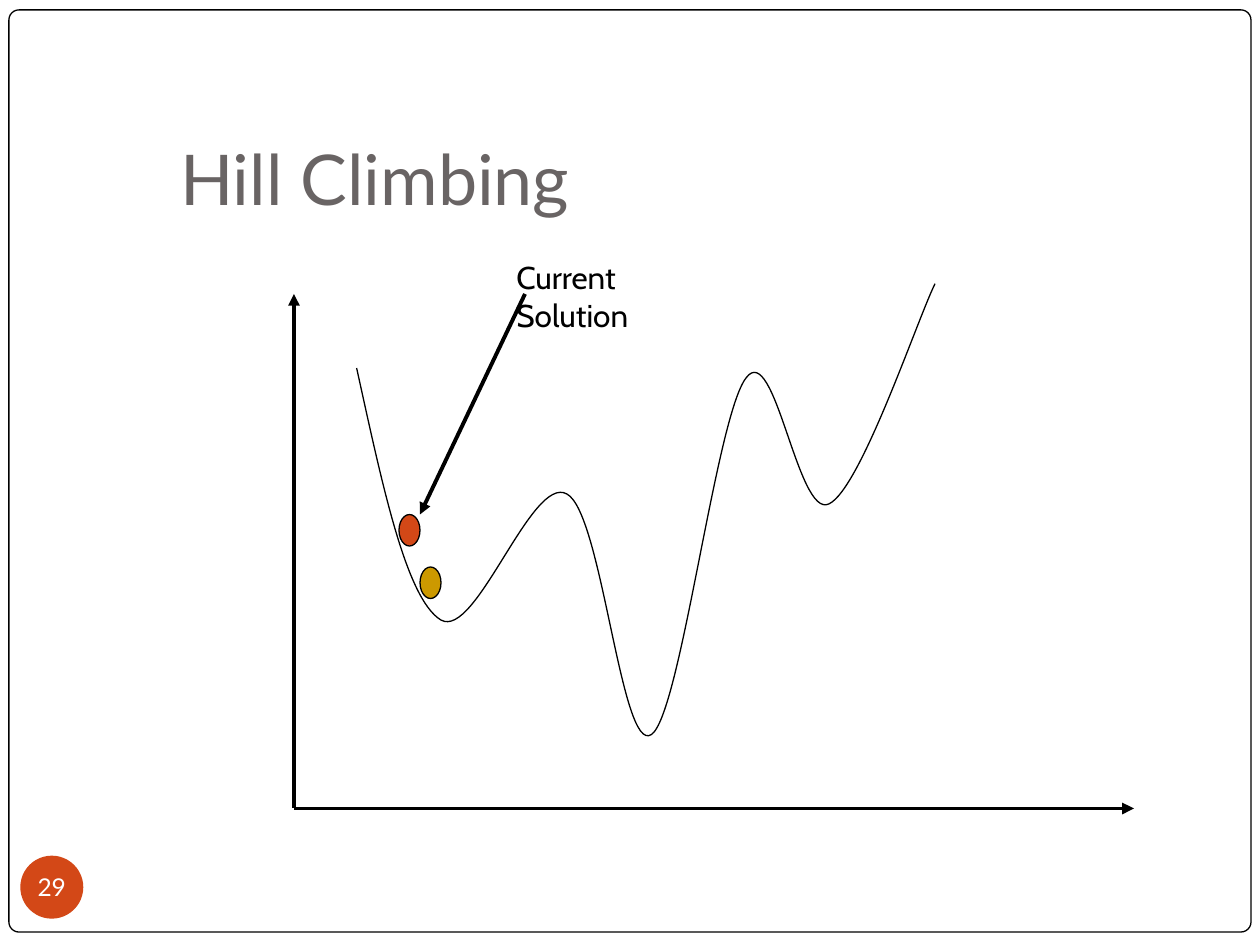
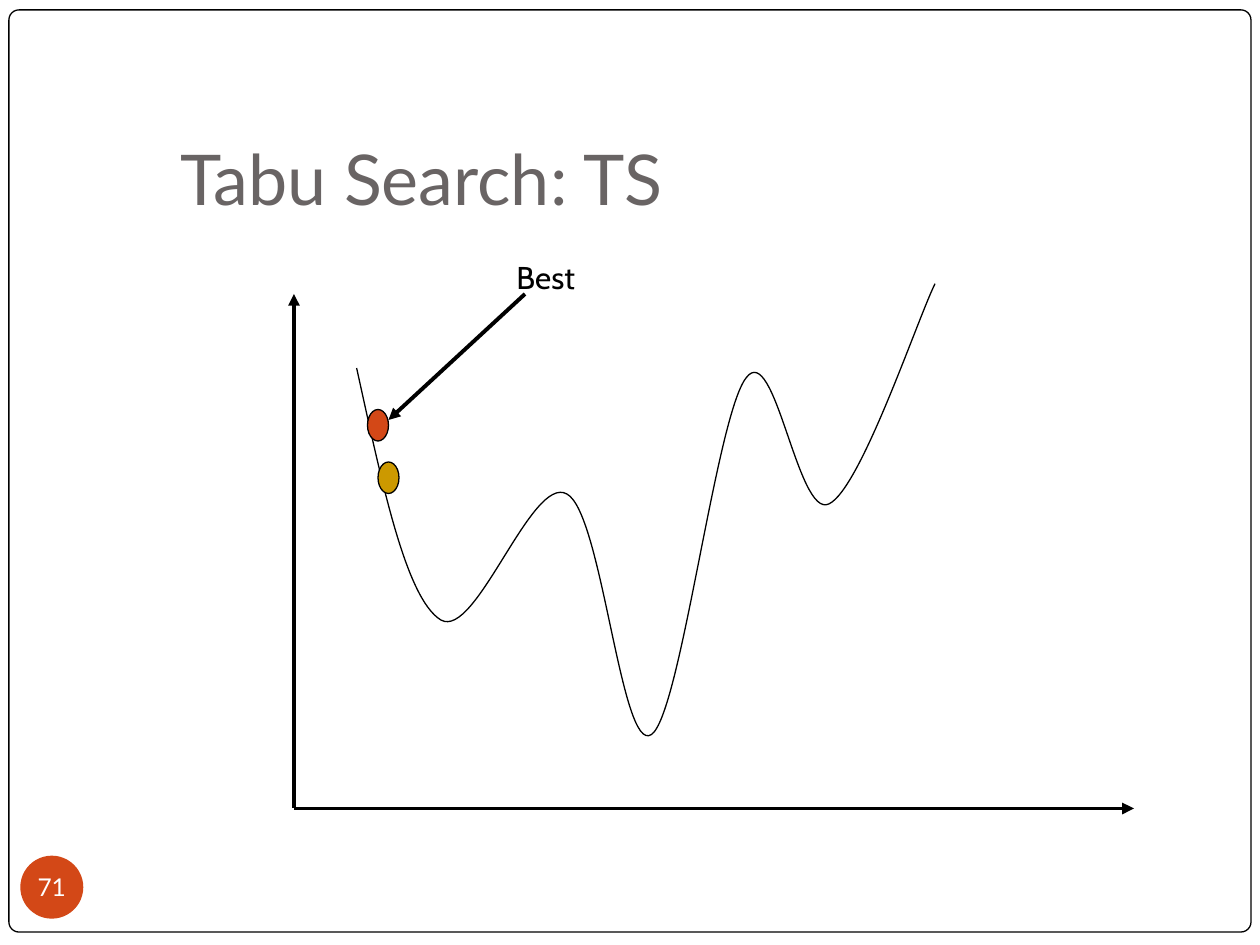
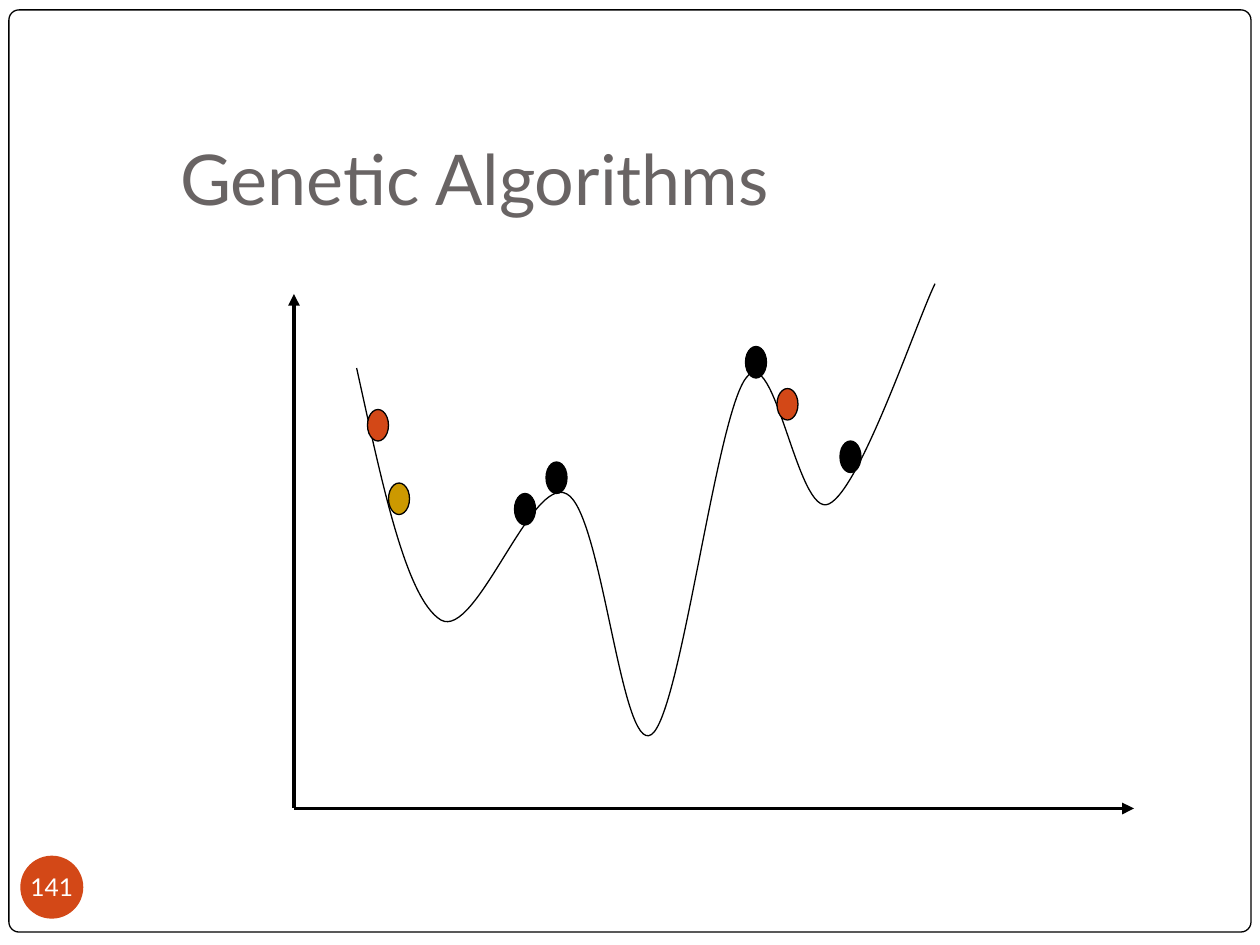
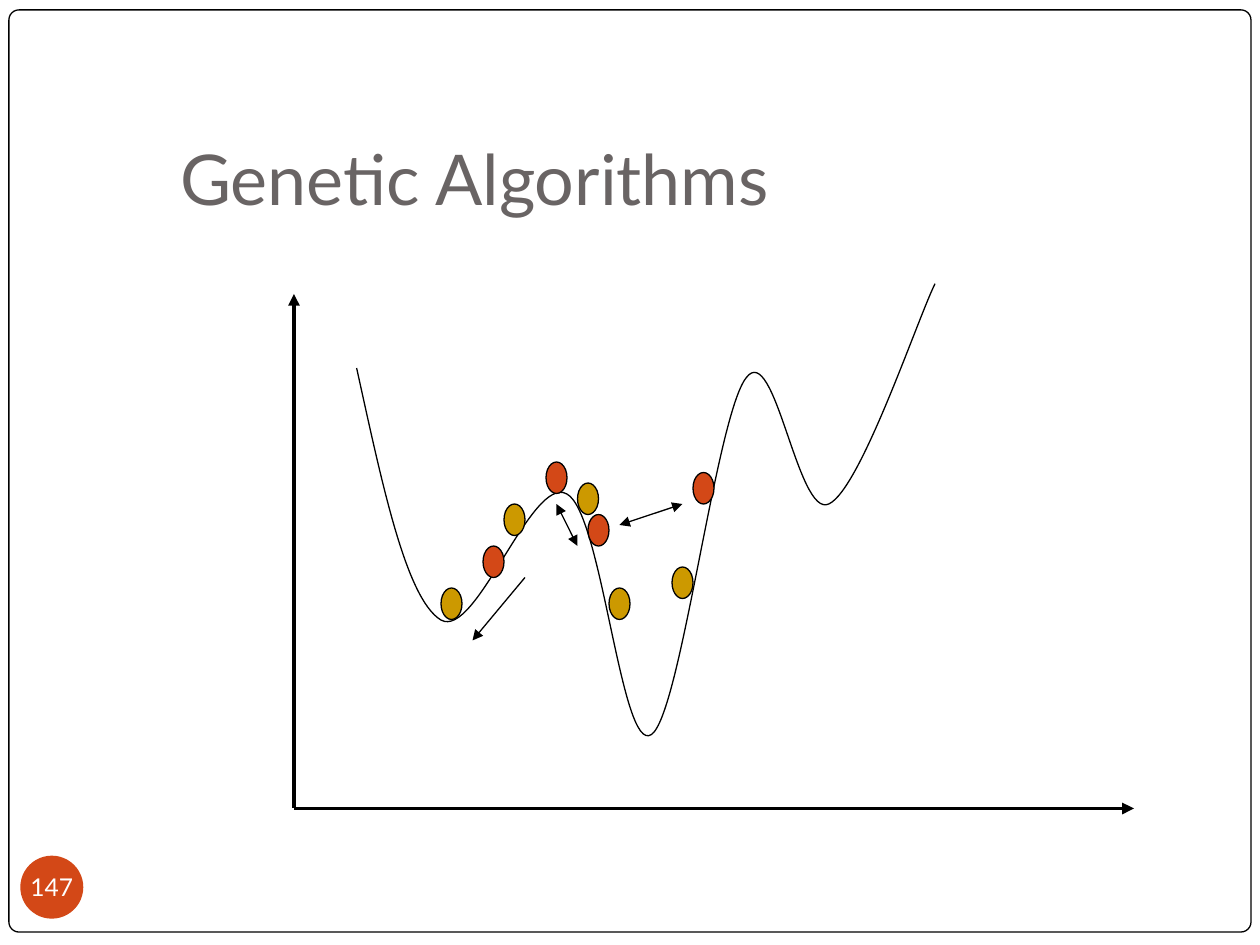
from lxml import etree
from pptx import Presentation
from pptx import util as u
from pptx.dml.color import RGBColor
from pptx.enum import shapes, text
from pptx.oxml import ns

BLACK, WHITE, GREY = "000000", "FFFFFF", "696464"
RED, GOLD = "D34817", "CC9900"
GRID = u.Cm(2.54) / 12
AXES = [((28, 28), (28, 77), 2.25, ["headEnd"]), ((28, 77), (108, 77), 2.25, ["tailEnd"])]
CURVE = [
    (7.19, 7.42),
    (7.7, 9.73), (8.18, 12.07), (8.89, 12.5),
    (9.6, 12.9), (10.72, 9.55), (11.43, 9.96),
    (12.14, 10.34), (12.52, 15.21), (13.13, 14.81),
    (13.72, 14.43), (14.43, 8.41), (15.04, 7.62),
    (15.62, 6.83), (16.08, 10.46), (16.71, 10.16),
    (17.35, 9.86), (18.49, 6.45), (18.85, 5.72),
]
PAGES = [
    {
        "title": "Hill Climbing", "number": "29", "label": "Current Solution", "label_height": 1.78,
        "arrows": [((50, 28), (40, 49), 2.25, ["tailEnd"])],
        "dots": {RED: [(38, 49)], GOLD: [(40, 54)]},
    },
    {
        "title": "Tabu Search: TS", "number": "71", "label": "Best", "label_height": 1.02,
        "arrows": [((50, 28), (37, 40), 2.25, ["tailEnd"])],
        "dots": {RED: [(35, 39)], GOLD: [(36, 44)]},
    },
    {
        "title": "Genetic Algorithms", "number": "141", "label": None, "arrows": [],
        "dots": {
            RED: [(35, 39), (74, 37)],
            BLACK: [(49, 47), (80, 42), (52, 44), (71, 33)],
            GOLD: [(37, 46)],
        },
    },
    {
        "title": "Genetic Algorithms", "number": "147", "label": None,
        "arrows": [
            ((59, 50), (65, 48), 0.75, ["headEnd", "tailEnd"]),
            ((50, 55), (45, 61), 0.75, ["tailEnd"]),
            ((53, 48), (55, 52), 0.75, ["headEnd", "tailEnd"]),
        ],
        "dots": {
            RED: [(52, 44), (46, 52), (56, 49), (66, 45)],
            GOLD: [(42, 56), (58, 56), (64, 54), (48, 48), (55, 46)],
        },
    },
]


def color(hex_value):
    return RGBColor.from_string(hex_value)


def write(box, words, font, size, hex_value, margins):
    frame = box.text_frame
    frame.word_wrap = True
    frame.margin_left, frame.margin_top, frame.margin_right, frame.margin_bottom = map(u.Cm, margins)
    frame.text = words
    span = frame.paragraphs[0].runs[0]
    span.font.name, span.font.size = font, u.Pt(size)
    span.font.color.rgb = color(hex_value)
    return frame


deck = Presentation()
deck.slide_width, deck.slide_height = u.Cm(25.4), u.Cm(19.05)

for content in PAGES:
    page = deck.slides.add_slide(deck.slide_layouts[6])

    border = page.shapes.add_shape(
        shapes.MSO_SHAPE.ROUNDED_RECTANGLE, u.Cm(0.18), u.Cm(0.2), u.Cm(25.04), u.Cm(18.59))
    border.adjustments[0] = 0.011
    border.shadow.inherit = False
    border.fill.solid()
    border.fill.fore_color.rgb = color(WHITE)
    border.line.color.rgb = color(BLACK)
    border.line.width = u.Pt(0.75)

    title = page.shapes.add_textbox(u.Cm(3.38), u.Cm(2.39), u.Cm(21.64), u.Cm(2.29))
    frame = write(title, content["title"], "Lato", 40, GREY, (0.25, 0.13, 0.25, 0.25))
    frame.vertical_anchor = text.MSO_ANCHOR.BOTTOM

    badge = page.shapes.add_shape(
        shapes.MSO_SHAPE.OVAL, u.Cm(0.41), u.Cm(17.25), u.Cm(1.27), u.Cm(1.27))
    badge.shadow.inherit = False
    badge.fill.solid()
    badge.fill.fore_color.rgb = color(RED)
    badge.line.fill.background()
    frame = write(badge, content["number"], "Lato", 14, WHITE, (0, 0, 0, 0))
    frame.vertical_anchor = text.MSO_ANCHOR.MIDDLE
    frame.paragraphs[0].alignment = text.PP_ALIGN.CENTER

    points = [(u.Cm(x), u.Cm(y)) for x, y in CURVE]
    builder = page.shapes.build_freeform(*points[0])
    builder.add_line_segments(points[1:], close=False)
    curve = builder.convert_to_shape()
    curve.shadow.inherit = False
    curve.fill.background()
    curve.line.color.rgb = color(BLACK)
    curve.line.width = u.Pt(0.75)
    segments = list(curve.element.iter(ns.qn("a:lnTo")))
    for start in range(0, len(segments), 3):
        bend = etree.Element(ns.qn("a:cubicBezTo"))
        segments[start].addprevious(bend)
        for segment in segments[start:start + 3]:
            bend.append(segment[0])
            segment.getparent().remove(segment)

    for begin, end, weight, heads in AXES + content["arrows"]:
        ends = [int(value * GRID) for value in begin + end]
        arrow = page.shapes.add_connector(shapes.MSO_CONNECTOR.STRAIGHT, *ends)
        arrow.line.color.rgb = color(BLACK)
        arrow.line.width = u.Pt(weight)
        for head in heads:
            etree.SubElement(arrow.line._get_or_add_ln(), ns.qn(f"a:{head}"), type="triangle")
        etree.SubElement(arrow.element.spPr, ns.qn("a:effectLst"))

    for fill, places in content["dots"].items():
        for column, row in places:
            dot = page.shapes.add_shape(
                shapes.MSO_SHAPE.OVAL,
                *[int(value * GRID) for value in (column, row, 2, 3)])
            dot.shadow.inherit = False
            dot.fill.solid()
            dot.fill.fore_color.rgb = color(fill)
            dot.line.color.rgb = color(BLACK)
            dot.line.width = u.Pt(0.75)

    if content["label"]:
        label = page.shapes.add_textbox(
            u.Cm(10.16), u.Cm(5.08), u.Cm(2.97), u.Cm(content["label_height"]))
        write(label, content["label"], "Cabin", 18, BLACK, (0.25, 0.13, 0.25, 0.13))

deck.save("out.pptx")
